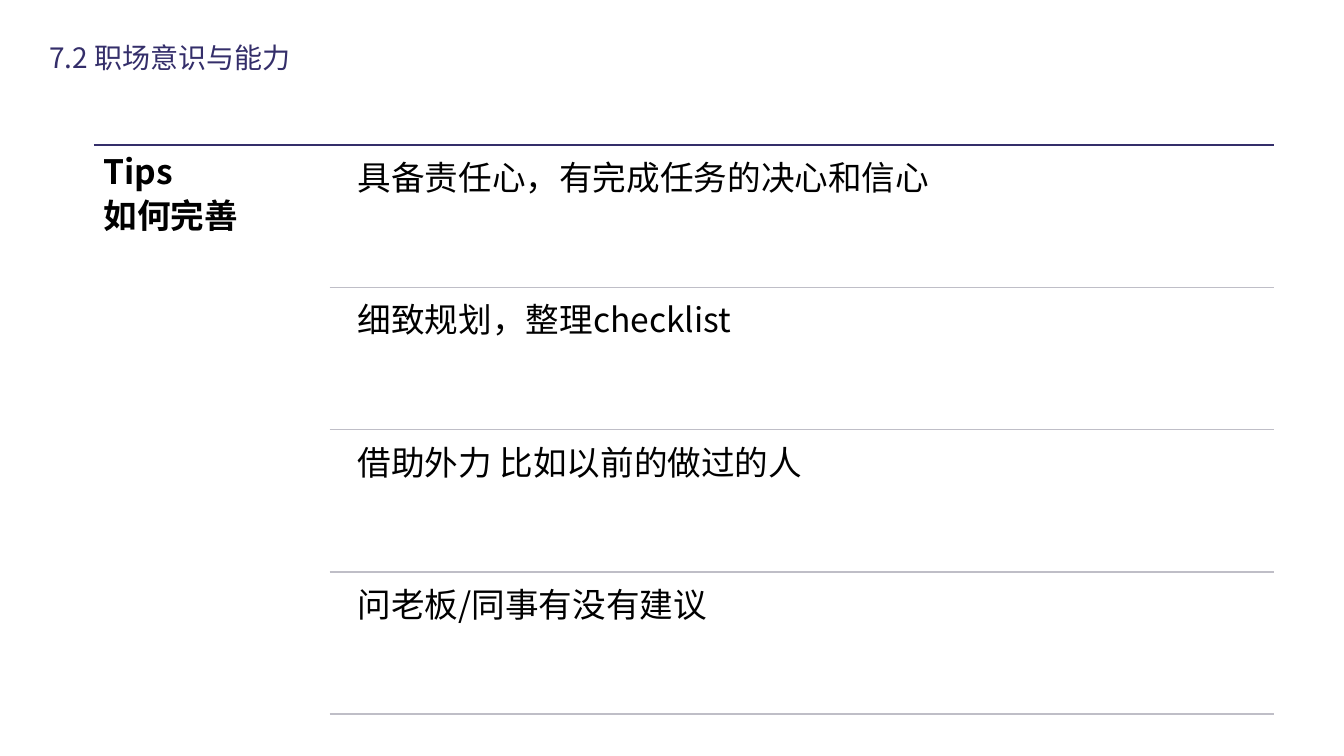
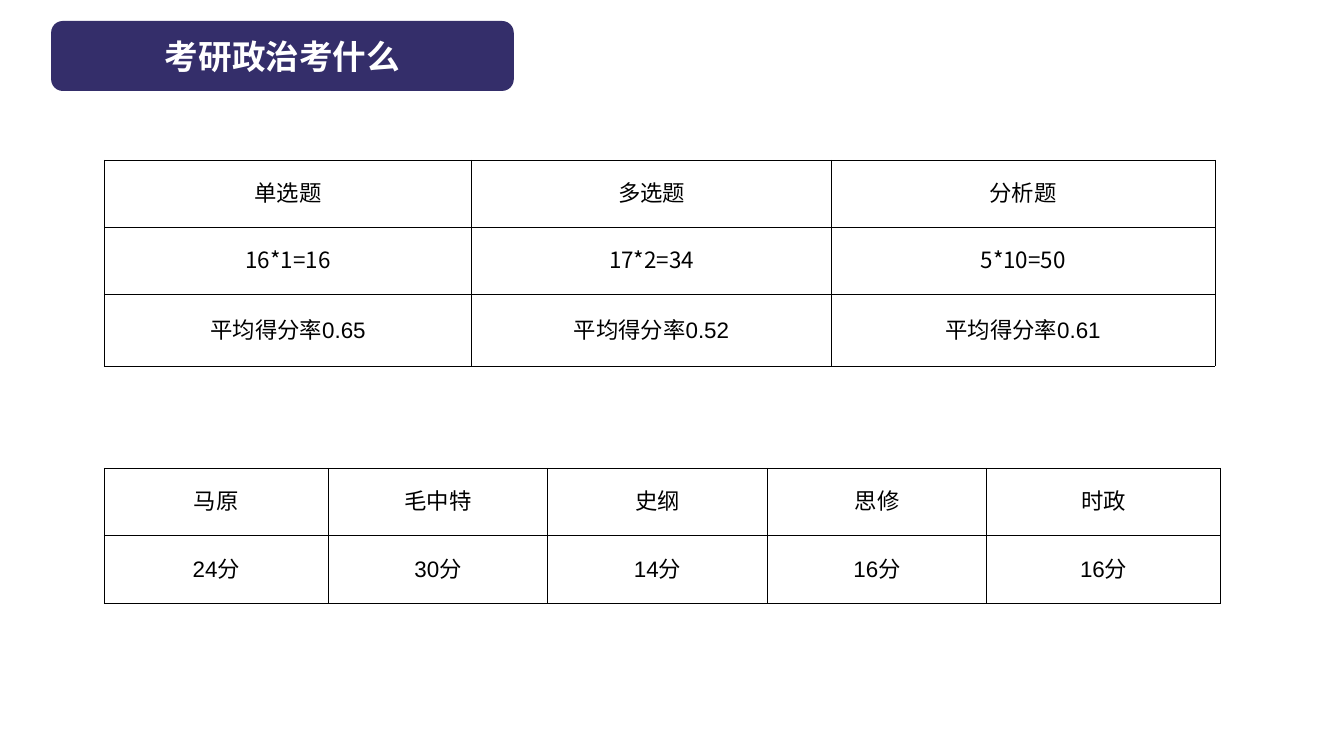
from dataclasses import dataclass

from lxml import etree
from pptx import Presentation
from pptx.dml.color import RGBColor
from pptx.enum import shapes, text
from pptx.oxml import ns
from pptx.util import Pt

INDIGO, GREY, BLACK, WHITE = "342E6A", "BFBEC7", "000000", "FFFFFF"
SANS, ARIAL = "Noto Sans CJK SC", "Arial"

RIGHT = 910
TIPS_LEFT, TIPS_TOP, TIP_PITCH = 67, 103.7, 101.6
RULE_LEFT, TIP_LEFT, TIP_DROP = 235.5, 248.5, 4.6


@dataclass(frozen=True)
class TextStyle:
    size: float
    colour: str = BLACK
    bold: bool = False
    font: str = SANS
    centred: bool = False
    line_spacing: float | None = None
    space_after: float | None = None


@dataclass(frozen=True)
class Grid:
    top: float
    widths: list[float]
    heights: list[float]
    rows: list[list[str]]


TITLE = TextStyle(20, INDIGO)
BANNER = TextStyle(24, WHITE, bold=True, centred=True)
TIP = TextStyle(24, line_spacing=0.9, space_after=6)
TIP_HEADING = TextStyle(24, bold=True, line_spacing=0.9, space_after=6)
CELL = TextStyle(16, font=ARIAL, centred=True)
FORMULA = TextStyle(16, centred=True)

TIPS = [
    "具备责任心，有完成任务的决心和信心",
    "细致规划，整理checklist",
    "借助外力 比如以前的做过的人",
    "问老板/同事有没有建议",
]
QUESTION_TYPES = Grid(114.5, [262.5, 256.8, 274], [48, 48, 51], [
    ["单选题", "多选题", "分析题"],
    ["16*1=16", "17*2=34", "5*10=50"],
    ["平均得分率0.65", "平均得分率0.52", "平均得分率0.61"],
])
SUBJECTS = Grid(334.4, [160, 156.8, 156.8, 156.8, 167], [48, 48.5], [
    ["马原", "毛中特", "史纲", "思修", "时政"],
    ["24分", "30分", "14分", "16分", "16分"],
])


def rgb(colour: str) -> RGBColor:
    return RGBColor.from_string(colour)


def write(frame, lines: list[str], style: TextStyle) -> None:
    for index, line in enumerate(lines):
        paragraph = frame.add_paragraph() if index else frame.paragraphs[0]
        paragraph.text = line
        paragraph.alignment = text.PP_ALIGN.CENTER if style.centred else text.PP_ALIGN.LEFT
        if style.line_spacing:
            paragraph.line_spacing = style.line_spacing
        if style.space_after:
            paragraph.space_after = Pt(style.space_after)
        font = paragraph.font
        font.size, font.bold, font.name = Pt(style.size), style.bold, style.font
        font.color.rgb = rgb(style.colour)
        properties = paragraph._p.pPr.find(ns.qn("a:defRPr"))
        etree.SubElement(properties, ns.qn("a:ea"), typeface=SANS)


def add_text(slide, left: float, top: float, width: float, height: float,
             lines: list[str], style: TextStyle, inset: float = 7.2) -> None:
    frame = slide.shapes.add_textbox(Pt(left), Pt(top), Pt(width), Pt(height)).text_frame
    frame.word_wrap = True
    frame.margin_left = frame.margin_right = Pt(7.2)
    frame.margin_top = frame.margin_bottom = Pt(inset)
    write(frame, lines, style)


def add_rule(slide, left: float, top: float, colour: str) -> None:
    """Draw a horizontal line from left to the right margin."""
    rule = slide.shapes.add_connector(
        shapes.MSO_CONNECTOR.STRAIGHT, Pt(left), Pt(top), Pt(RIGHT), Pt(top))
    rule.line.color.rgb = rgb(colour)
    rule.line.width = Pt(1)
    etree.SubElement(rule._element.spPr, ns.qn("a:effectLst"))


def add_borders(cell, colour: str = BLACK, width: float = 0.5) -> None:
    properties = cell._tc.get_or_add_tcPr()
    for index, side in enumerate("LRTB"):
        border = etree.Element(ns.qn(f"a:ln{side}"), w=str(Pt(width)))
        fill = etree.SubElement(border, ns.qn("a:solidFill"))
        etree.SubElement(fill, ns.qn("a:srgbClr"), val=colour)
        properties.insert(index, border)


def add_grid(slide, grid: Grid) -> None:
    table = slide.shapes.add_table(
        len(grid.rows), len(grid.widths), Pt(74.5), Pt(grid.top),
        Pt(sum(grid.widths)), Pt(sum(grid.heights))).table
    table.first_row = table.horz_banding = False
    for column, width in zip(table.columns, grid.widths):
        column.width = Pt(width)
    for row, height, values in zip(table.rows, grid.heights, grid.rows):
        row.height = Pt(height)
        for cell, value in zip(row.cells, values):
            cell.fill.background()
            cell.vertical_anchor = text.MSO_ANCHOR.MIDDLE
            cell.margin_left = cell.margin_right = cell.margin_top = Pt(0.75)
            cell.margin_bottom = Pt(3.6)
            write(cell.text_frame, [value], FORMULA if "=" in value else CELL)
            add_borders(cell)


def add_banner(slide, label: str) -> None:
    banner = slide.shapes.add_shape(
        shapes.MSO_SHAPE.ROUNDED_RECTANGLE, Pt(36.5), Pt(15), Pt(330.5), Pt(50))
    banner.shadow.inherit = False
    banner.fill.solid()
    banner.fill.fore_color.rgb = rgb(INDIGO)
    banner.line.fill.background()
    banner.text_frame.vertical_anchor = text.MSO_ANCHOR.MIDDLE
    write(banner.text_frame, [label], BANNER)


def build_tips(slide) -> None:
    add_rule(slide, TIPS_LEFT, TIPS_TOP, INDIGO)
    add_text(slide, TIPS_LEFT, TIPS_TOP, 168.5, 411, ["Tips", "如何完善"], TIP_HEADING)
    for index, tip in enumerate(TIPS):
        top = TIPS_TOP + index * TIP_PITCH
        add_text(slide, TIP_LEFT, top + TIP_DROP, RIGHT - TIP_LEFT, 96.5, [tip], TIP)
        add_rule(slide, RULE_LEFT, top + TIP_PITCH, GREY)
    add_text(slide, 28, 25.2, 220, 31.5, ["7.2 职场意识与能力"], TITLE, inset=3.6)


def build_exam(slide) -> None:
    add_banner(slide, "考研政治考什么")
    for grid in (QUESTION_TYPES, SUBJECTS):
        add_grid(slide, grid)


def main() -> None:
    presentation = Presentation()
    presentation.slide_width, presentation.slide_height = Pt(960), Pt(540)
    blank = presentation.slide_layouts[6]
    for build in (build_tips, build_exam):
        build(presentation.slides.add_slide(blank))
    presentation.save("out.pptx")


if __name__ == "__main__":
    main()
